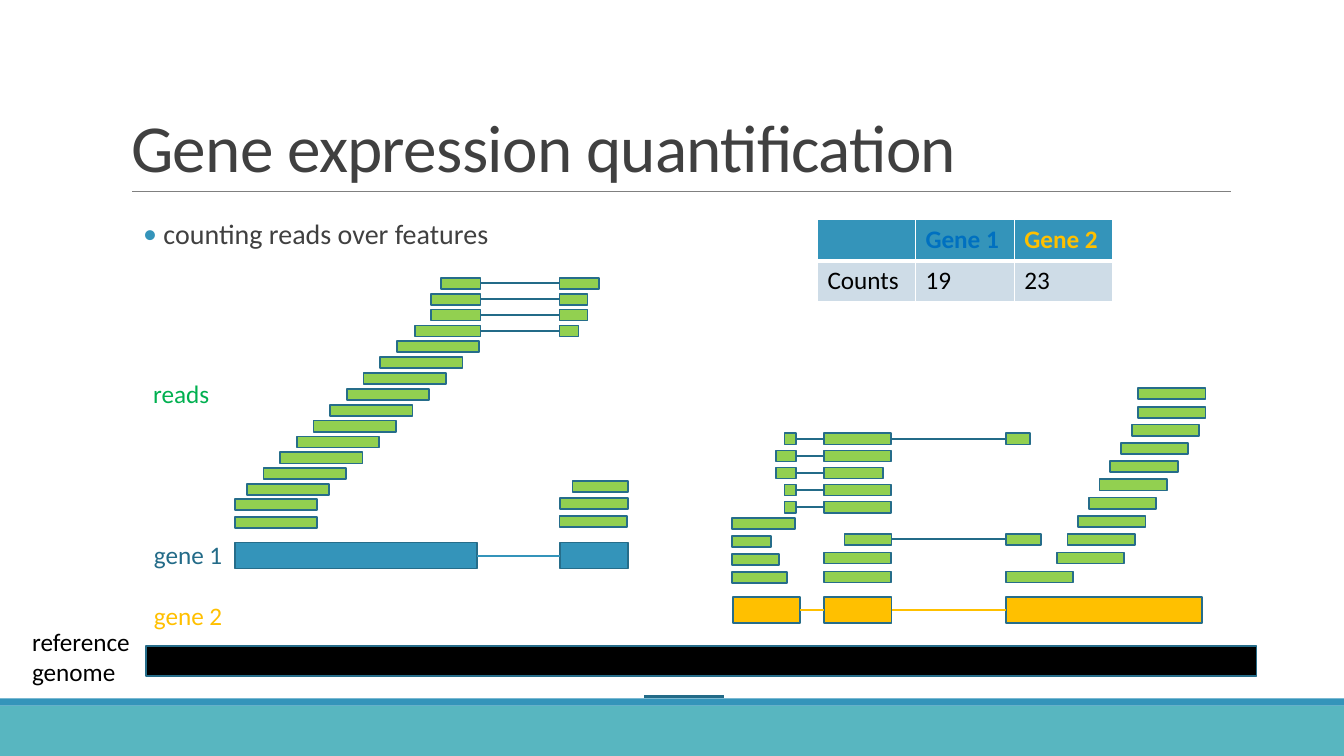
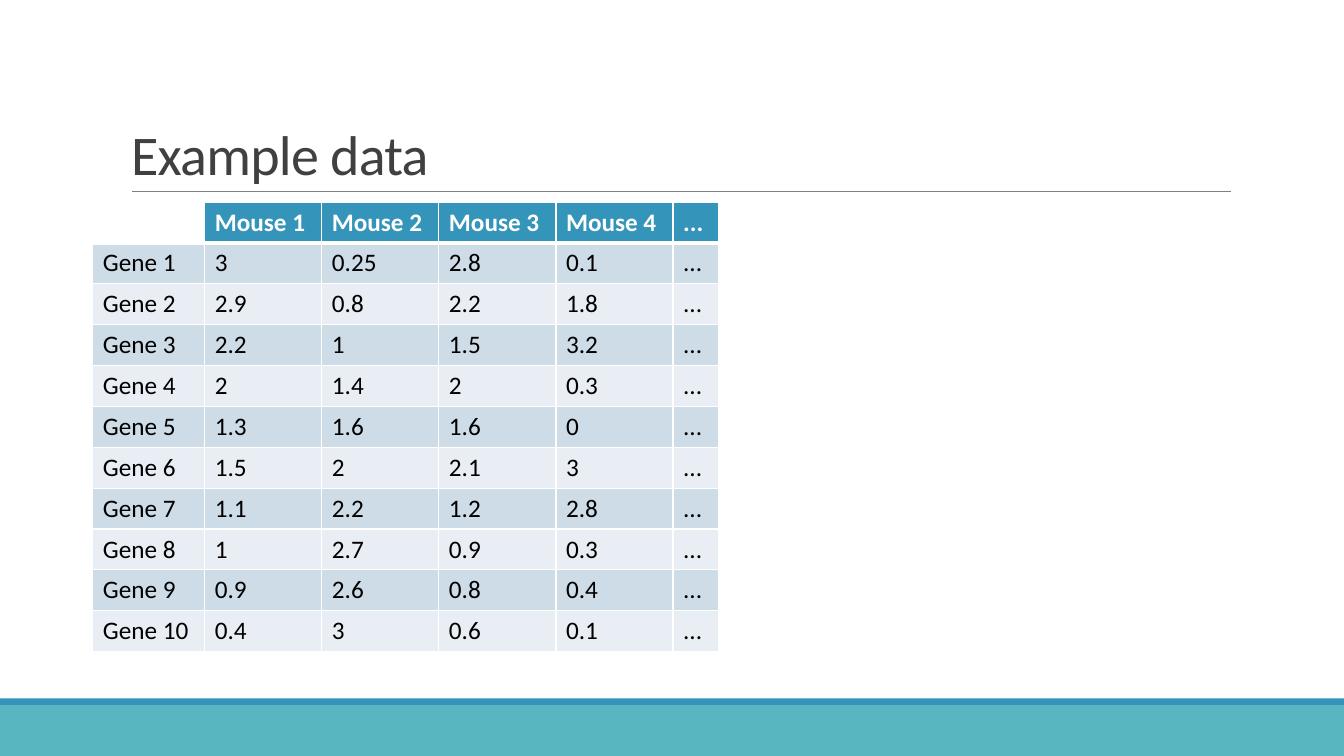
from dataclasses import dataclass
from typing import Any, NamedTuple, Optional, Sequence

from lxml.etree import SubElement
from pptx import Presentation
from pptx.dml.color import RGBColor
from pptx.enum.shapes import MSO_CONNECTOR, MSO_SHAPE
from pptx.enum.text import MSO_ANCHOR, PP_ALIGN
from pptx.oxml.ns import qn
from pptx.shapes.autoshape import Shape
from pptx.shapes.connector import Connector
from pptx.slide import Slide
from pptx.text.text import TextFrame
from pptx.util import Cm, Pt


@dataclass(frozen=True)
class Theme:
    font: str = "Calibri"
    heading: str = "404040"
    rule: str = "808080"
    blue: str = "3494BA"
    teal: str = "58B6C0"
    outline: str = "266D8A"
    dark_blue: str = "236B88"
    read: str = "92D050"
    read_label: str = "00B050"
    gold: str = "FFC000"
    gene_header: str = "0070C0"
    black: str = "000000"
    white: str = "FFFFFF"
    bands: tuple[str, str] = ("E8EEF3", "CEDCE7")
    bullet_size: float = 20
    text_size: float = 18
    outline_width: float = 1.25
    join_width: float = 1.5


THEME = Theme()


# All lengths below are centimetres
class Area(NamedTuple):
    left: float
    top: float
    width: float
    height: float


class Block(NamedTuple):
    left: float
    width: float


@dataclass(frozen=True)
class Chain:
    """Blocks on one row, joined from each to the next."""
    top: float
    blocks: tuple[Block, ...]


@dataclass(frozen=True)
class ChainStyle:
    height: float
    fill: str
    join: str


@dataclass(frozen=True)
class Label:
    area: Area
    lines: tuple[str, ...]
    color: str


@dataclass(frozen=True)
class TableLook:
    left: float
    top: float
    columns: tuple[float, ...]
    header_colors: tuple[str, ...]
    corner_fill: Optional[str] = None


ROW_HEIGHT = 1.03
READ = ChainStyle(0.28, THEME.read, THEME.dark_blue)
GENE_1 = ChainStyle(0.66, THEME.blue, THEME.blue)
GENE_2 = ChainStyle(0.66, THEME.gold, THEME.gold)


def single(left: float, top: float, width: float) -> Chain:
    return Chain(top, (Block(left, width),))


# Gene 1 reads: a staircase, four spliced reads above it, a stack on exon 2
EXON_1_END, EXON_2_START = 12.11, 14.1
GENE_1_READS = [
    single(5.92, 13.03, 2.08),
    single(5.92, 12.57, 2.08),
    *(single(6.22 + 0.42 * step, 12.2 - 0.4 * step, 2.08) for step in range(10)),
    *(Chain(8.2 - 0.4 * step, (Block(EXON_1_END - before, before), Block(EXON_2_START, after)))
      for step, (before, after) in enumerate([(1.65, 0.48), (1.24, 0.71), (1.24, 0.71), (0.99, 0.99)])),
    single(14.1, 13, 1.7),
    single(14.12, 12.55, 1.7),
    single(14.43, 12.12, 1.4),
]

# Gene 2 reads: spliced reads, stacks on exons 1 and 2, a staircase on exon 3
FIRST_END, MIDDLE_START, LAST_START = 20.07, 20.76, 25.35
SPLICED = [(0.3, 1.7, 0.61), (0.51, 1.7, 0), (0.51, 1.5, 0), (0.3, 1.7, 0), (0.3, 1.7, 0)]
GENE_2_READS = [
    *(Chain(10.92 + 0.43 * row,
            (Block(FIRST_END - first, first), Block(MIDDLE_START, middle))
            + ((Block(LAST_START, last),) if last else ()))
      for row, (first, middle, last) in enumerate(SPLICED)),
    *(single(18.44, 13.06 + 0.45 * row, width) for row, width in enumerate([1.6, 0.99, 1.19, 1.4])),
    Chain(13.45, (Block(21.28, 1.19), Block(LAST_START, 0.89))),
    single(MIDDLE_START, 13.92, 1.7),
    single(MIDDLE_START, 14.4, 1.7),
    single(LAST_START, 14.4, 1.7),
    *(single(26.63 + 0.27 * step, 13.92 - 0.46 * step, 1.7) for step in range(8)),
    single(28.68, 10.26, 1.7),
    single(28.68, 9.78, 1.7),
]

DRAWING = [
    (GENE_2, [Chain(15.05, (Block(18.47, 1.7), Block(20.77, 1.7), Block(LAST_START, 4.95)))]),
    (READ, GENE_2_READS),
    (GENE_1, [Chain(13.67, (Block(5.92, 6.1), Block(14.12, 1.7)))]),
    (READ, GENE_1_READS),
]

LABELS = [
    Label(Area(3.63, 13.46, 4.62, 1.8), ("gene 1",), THEME.dark_blue),
    Label(Area(3.61, 9.42, 4.62, 1.8), ("reads",), THEME.read_label),
    Label(Area(3.63, 15.01, 4.62, 1.8), ("gene 2",), THEME.gold),
    Label(Area(0.56, 15.65, 7.37, 2.57), ("reference", "genome"), THEME.black),
]

COUNTS = [["", "Gene 1", "Gene 2"], ["Counts", "19", "23"]]

EXPRESSION = [
    ("3", "0.25", "2.8", "0.1"),
    ("2.9", "0.8", "2.2", "1.8"),
    ("2.2", "1", "1.5", "3.2"),
    ("2", "1.4", "2", "0.3"),
    ("1.3", "1.6", "1.6", "0"),
    ("1.5", "2", "2.1", "3"),
    ("1.1", "2.2", "1.2", "2.8"),
    ("1", "2.7", "0.9", "0.3"),
    ("0.9", "2.6", "0.8", "0.4"),
    ("0.4", "3", "0.6", "0.1"),
]


# Drawing helpers
def place(area: Area) -> list[Cm]:
    return [Cm(length) for length in area]


def write(frame: TextFrame, lines: Sequence[str], color: str, size: float, **extra: Any) -> None:
    """Fill a frame with one span per paragraph."""
    values = {"name": THEME.font, "size": Pt(size), **extra}
    for number, line in enumerate(lines):
        para = frame.add_paragraph() if number else frame.paragraphs[0]
        span = para.add_run()
        span.text = line
        for key, value in values.items():
            setattr(span.font, key, value)
        span.font.color.rgb = RGBColor.from_string(color)


def add_box(slide: Slide, area: Area, fill: str, outline: Optional[str] = None) -> Shape:
    box = slide.shapes.add_shape(MSO_SHAPE.RECTANGLE, *place(area))
    box.shadow.inherit = False
    box.fill.solid()
    box.fill.fore_color.rgb = RGBColor.from_string(fill)
    if outline:
        box.line.color.rgb = RGBColor.from_string(outline)
        box.line.width = Pt(THEME.outline_width)
    else:
        box.line.fill.background()
    return box


def add_line(slide: Slide, start: float, end: float, height: float, color: str, width: float) -> Connector:
    line = slide.shapes.add_connector(
        MSO_CONNECTOR.STRAIGHT, Cm(start), Cm(height), Cm(end), Cm(height))
    line.line.color.rgb = RGBColor.from_string(color)
    line.line.width = Pt(width)
    SubElement(line._element.spPr, qn("a:effectLst"))
    return line


def add_chain(slide: Slide, chain: Chain, style: ChainStyle) -> None:
    boxes = [add_box(slide, Area(block.left, chain.top, block.width, style.height),
                     style.fill, THEME.outline) for block in chain.blocks]
    middle = chain.top + style.height / 2
    for number, (before, after) in enumerate(zip(boxes, boxes[1:])):
        left, right = chain.blocks[number:number + 2]
        join = add_line(slide, left.left + left.width, right.left, middle,
                        style.join, THEME.join_width)
        join.begin_connect(before, 3)
        join.end_connect(after, 1)


def add_text(slide: Slide, label: Label) -> None:
    frame = slide.shapes.add_textbox(*place(label.area)).text_frame
    frame.word_wrap = True
    write(frame, label.lines, label.color, THEME.text_size)


def add_bullet(slide: Slide, text: str) -> None:
    frame = slide.shapes.add_textbox(*place(Area(3.05, 5.13, 27.94, 11.18))).text_frame
    frame.word_wrap = True
    frame.margin_left = frame.margin_right = 0
    para = frame.paragraphs[0]
    para.line_spacing = 1.25
    para.space_after = Pt(4)
    properties = para._p.get_or_add_pPr()
    properties.set("marL", str(Cm(1.07)))
    properties.set("indent", str(Cm(-0.51)))
    color = SubElement(properties, qn("a:buClr"))
    SubElement(color, qn("a:srgbClr")).set("val", THEME.blue)
    SubElement(properties, qn("a:buFont")).set("typeface", THEME.font)
    SubElement(properties, qn("a:buChar")).set("char", "•")
    write(frame, [text], THEME.heading, THEME.bullet_size)


def add_grid(slide: Slide, rows: Sequence[Sequence[str]], look: TableLook) -> None:
    area = Area(look.left, look.top, sum(look.columns), ROW_HEIGHT * len(rows))
    table = slide.shapes.add_table(len(rows), len(look.columns), *place(area)).table
    table.first_row = table.horz_banding = False
    for column, width in zip(table.columns, look.columns):
        column.width = Cm(width)
    for row, texts in enumerate(rows):
        table.rows[row].height = Cm(ROW_HEIGHT)
        for column, text in enumerate(texts):
            cell = table.cell(row, column)
            # A thick edge runs between the header and the first row
            edges = {"L": 1, "R": 1, "T": 3 if row == 1 else 1, "B": 1 if row else 3}
            for side, width in edges.items():
                edge = SubElement(cell._tc.get_or_add_tcPr(), qn(f"a:ln{side}"), w=str(Pt(width)))
                fill = SubElement(edge, qn("a:solidFill"))
                SubElement(fill, qn("a:srgbClr")).set("val", THEME.white)
            shade = THEME.bands[row % 2] if row else THEME.blue
            if row == column == 0:
                shade = look.corner_fill
            if shade:
                cell.fill.solid()
                cell.fill.fore_color.rgb = RGBColor.from_string(shade)
            else:
                cell.fill.background()
            if text:
                color = THEME.black if row else look.header_colors[column]
                write(cell.text_frame, [text], color, THEME.text_size, bold=row == 0)


def add_page(deck: Any, title: str, size: float) -> Slide:
    """Add a page with the shared bands, rule and title."""
    page = deck.slides.add_slide(deck.slide_layouts[5])
    add_box(page, Area(0, 17.78, 33.87, 1.27), THEME.teal)
    add_box(page, Area(0, 17.6, 33.87, 0.18), THEME.blue)
    add_line(page, 3.33, 31.01, 4.83, THEME.rule, 0.5)
    box = page.shapes.title
    for key, length in zip(Area._fields, place(Area(3.05, 0.79, 27.94, 4.04))):
        setattr(box, key, length)
    frame = box.text_frame
    frame.vertical_anchor = MSO_ANCHOR.BOTTOM
    para = frame.paragraphs[0]
    para.alignment = PP_ALIGN.LEFT
    para.line_spacing = 0.85
    write(frame, [title], THEME.heading, size)
    para.runs[0].font._element.set("spc", "-50")
    return page


# Pages
def build_quantification(deck: Any) -> None:
    page = add_page(deck, "Gene expression quantification", 48)
    add_bullet(page, "counting reads over features")
    add_line(page, 16.23, 18.24, 17.55, THEME.dark_blue, THEME.join_width)
    for style, chains in DRAWING:
        for chain in chains:
            add_chain(page, chain, style)
    add_box(page, Area(3.68, 16.28, 27.99, 0.76), THEME.black, THEME.outline)
    for label in LABELS:
        add_text(page, label)
    add_grid(page, COUNTS, TableLook(
        20.6, 5.54, (2.47, 2.49, 2.47),
        (THEME.white, THEME.gene_header, THEME.gold), THEME.blue))


def build_example(deck: Any) -> None:
    page = add_page(deck, "Example data", 40)
    header = ["", *(f"Mouse {number}" for number in range(1, 5)), "..."]
    rows = [[f"Gene {number}", *values, "..."] for number, values in enumerate(EXPRESSION, 1)]
    add_grid(page, [header, *rows], TableLook(
        2.34, 5.09, (2.82, *[2.95] * 4, 1.15), (THEME.white,) * len(header)))


def main() -> None:
    deck = Presentation()
    deck.slide_width, deck.slide_height = Cm(33.87), Cm(19.05)
    build_quantification(deck)
    build_example(deck)
    deck.save("out.pptx")


if __name__ == "__main__":
    main()
